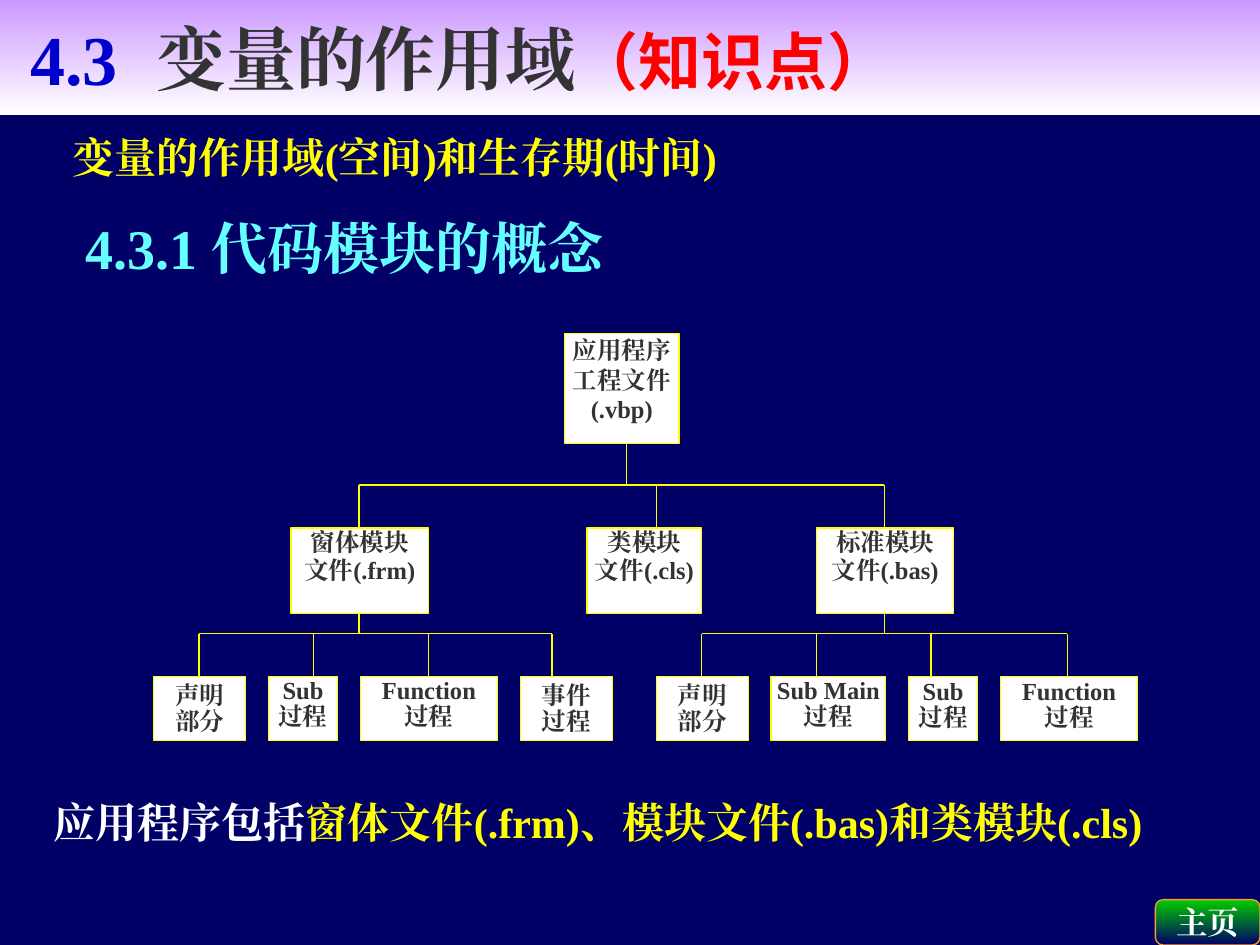
from lxml import etree
from pptx import Presentation
from pptx.dml.color import RGBColor
from pptx.enum.shapes import MSO_CONNECTOR, MSO_SHAPE
from pptx.enum.text import MSO_ANCHOR, PP_ALIGN
from pptx.oxml.ns import qn
from pptx.util import Inches, Pt

RECT, ROUND = MSO_SHAPE.RECTANGLE, MSO_SHAPE.ROUNDED_RECTANGLE
STRAIGHT = MSO_CONNECTOR.STRAIGHT
LEFT, CENTER = PP_ALIGN.LEFT, PP_ALIGN.CENTER
TOP, MIDDLE = MSO_ANCHOR.TOP, MSO_ANCHOR.MIDDLE

SERIF, SANS = "Times New Roman", "Noto Sans CJK SC"
NAVY, YELLOW, WHITE, DARK = "000066", "FFFF00", "FFFFFF", "333333"


def color(value):
    return RGBColor.from_string(value)


def add_run(p, text, size, fill, font=SERIF):
    r = p.add_run()
    r.text = text
    r.font.size = Pt(size)
    r.font.bold = True
    r.font.name = font
    r.font.color.rgb = color(fill)
    ea = etree.SubElement(r._r.get_or_add_rPr(), qn("a:ea"))
    ea.set("typeface", font)


def set_frame(tf, insets=(0.1, 0.05, 0.1, 0.05), anchor=TOP, wrap=True):
    tf.margin_left, tf.margin_top, tf.margin_right, tf.margin_bottom = map(Inches, insets)
    tf.vertical_anchor = anchor
    tf.word_wrap = wrap


def set_indent(p, left=0, tab=None):
    pPr = p._p.get_or_add_pPr()
    pPr.set("marL", str(Inches(left)))
    pPr.set("indent", "0")
    if tab:
        tabs = etree.SubElement(pPr, qn("a:tabLst"))
        etree.SubElement(tabs, qn("a:tab"), pos=str(Inches(tab)), algn="l")


def add_box(s, kind, x, y, w, h, line=None):
    sp = s.shapes.add_shape(kind, Inches(x), Inches(y), Inches(w), Inches(h))
    sp.shadow.inherit = False
    if line:
        sp.line.color.rgb = color(line)
        sp.line.width = Pt(0.75)
    else:
        sp.line.fill.background()
    return sp


def fill_gradient(sp, top, bottom):
    sp.fill.gradient()
    sp.fill.gradient_angle = 270
    for stop, value, position in zip(sp.fill.gradient_stops, (top, bottom), (0, 1)):
        stop.color.rgb = color(value)
        stop.position = position


def add_line(s, x1, y1, x2, y2):
    c = s.shapes.add_connector(STRAIGHT, Inches(x1), Inches(y1), Inches(x2), Inches(y2))
    c.line.color.rgb = color(YELLOW)
    c.line.width = Pt(0.75)
    etree.SubElement(c._element.spPr, qn("a:effectLst"))


def add_node(s, x, y, w, h, lines, spacing=1.0, top=0.01):
    sp = add_box(s, RECT, x, y, w, h, YELLOW)
    sp.fill.solid()
    sp.fill.fore_color.rgb = color(WHITE)
    tf = sp.text_frame
    set_frame(tf, (0.02, top, 0.02, 0.01))
    for i, text in enumerate(lines):
        p = tf.add_paragraph() if i else tf.paragraphs[0]
        p.alignment = CENTER
        p.line_spacing = spacing
        add_run(p, text, 14, DARK)


def add_title(s, x, y, w, h):
    sp = add_box(s, RECT, x, y, w, h)
    fill_gradient(sp, "CC99FF", WHITE)
    set_frame(sp.text_frame, (0.24, 0.05, 0.1, 0.05), MIDDLE)
    p = sp.text_frame.paragraphs[0]
    p.alignment = LEFT
    set_indent(p, tab=1.1)
    add_run(p, "4.3\t", 40, "0000CC")
    add_run(p, "变量的作用域", 40, DARK)
    add_run(p, "（知识点）", 36, "FF0000", SANS)


def add_headings(s, x, y, w, h):
    tf = s.shapes.add_textbox(Inches(x), Inches(y), Inches(w), Inches(h)).text_frame
    set_frame(tf)
    p = tf.paragraphs[0]
    set_indent(p, 0.48)
    p.line_spacing = 0.8
    add_run(p, "变量的作用域(空间)和生存期(时间)", 24, YELLOW)
    p = tf.add_paragraph()
    set_indent(p, 0.58, tab=1.79)
    p.line_spacing = 0.8
    p.space_before = Pt(26)
    add_run(p, "4.3.1\t代码模块的概念", 32, "66FFFF")


def add_branch(s, trunk_x, trunk_y, bar_y, drops, end_y):
    """Trunk, crossbar and one drop for each child."""
    add_line(s, trunk_x, trunk_y, trunk_x, bar_y)
    add_line(s, drops[0], bar_y, drops[-1], bar_y)
    for drop in drops:
        add_line(s, drop, bar_y, drop, end_y)


def add_tree(s, x, y):
    module_y, leaf_y, gap = y + 1.54, y + 2.72, 0.18

    # Project file and its modules
    add_branch(s, x + 3.75, y + 0.87, y + 1.2, [x + d for d in (1.63, 3.99, 5.8)], module_y)
    add_node(s, x + 3.26, y, 0.91, 0.87, ("应用程序", "工程文件", "(.vbp)"))
    modules = [
        (1.09, 1.09, "窗体模块", "文件(.frm)"),
        (3.44, 0.91, "类模块", "文件(.cls)"),
        (5.26, 1.09, "标准模块", "文件(.bas)"),
    ]
    for left, width, *lines in modules:
        add_node(s, x + left, module_y, width, 0.68, lines, 0.96)

    # Parts of the form module and of the standard module: width, drop, name, inset
    families = [
        (0, 1.63, [(0.73, 0.36, "声明", "部分", 0.05), (0.55, 1.27, "Sub", "过程", 0.01),
                   (1.09, 2.18, "Function", "过程", 0.01), (0.73, 3.16, "事件", "过程", 0.05)]),
        (3.99, 5.8, [(0.73, 4.35, "声明", "部分", 0.05), (0.91, 5.26, "Sub Main", "过程", 0.01),
                     (0.55, 6.17, "Sub", "过程", 0.02), (1.09, 7.25, "Function", "过程", 0.02)]),
    ]
    for left, trunk, leaves in families:
        drops = [x + leaf[1] for leaf in leaves]
        add_branch(s, x + trunk, module_y + 0.68, y + 2.38, drops, leaf_y)
        for width, _, first, second, top in leaves:
            add_node(s, x + left, leaf_y, width, 0.51, (first, second), 0.9, top)
            left += width + gap


def add_summary(s, x, y, w, h):
    tf = s.shapes.add_textbox(Inches(x), Inches(y), Inches(w), Inches(h)).text_frame
    set_frame(tf, wrap=False)
    p = tf.paragraphs[0]
    add_run(p, "应用程序包括", 24, WHITE)
    add_run(p, "窗体文件(.frm)、模块文件(.bas)和类模块(.cls)", 24, YELLOW)


def add_home_button(s, x, y, w, h):
    sp = add_box(s, ROUND, x, y, w, h, "FF9933")
    fill_gradient(sp, "00CC00", NAVY)
    set_frame(sp.text_frame, anchor=MIDDLE, wrap=False)
    p = sp.text_frame.paragraphs[0]
    p.alignment = CENTER
    add_run(p, "主页", 18, WHITE)


def main():
    prs = Presentation()
    prs.slide_width, prs.slide_height = Inches(10), Inches(7.5)
    s = prs.slides.add_slide(prs.slide_layouts[6])
    s.background.fill.solid()
    s.background.fill.fore_color.rgb = color(NAVY)
    add_home_button(s, 9.17, 7.14, 0.83, 0.36)
    add_headings(s, 0, 1.07, 10, 1.34)
    add_tree(s, 1.22, 2.65)
    add_title(s, 0, 0, 10, 0.91)
    add_summary(s, 0.33, 6.27, 9.24, 0.5)
    prs.save("out.pptx")


if __name__ == "__main__":
    main()
